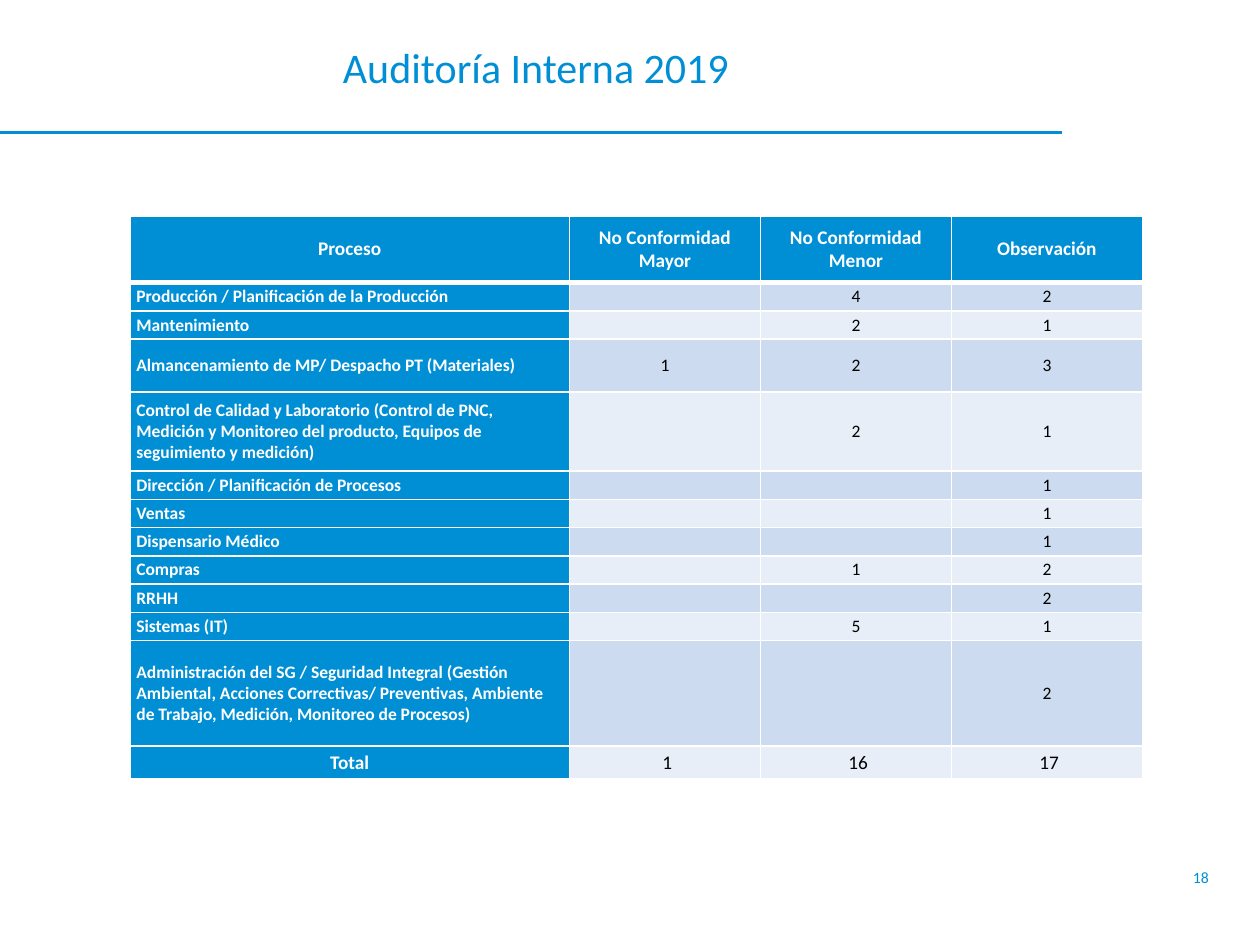
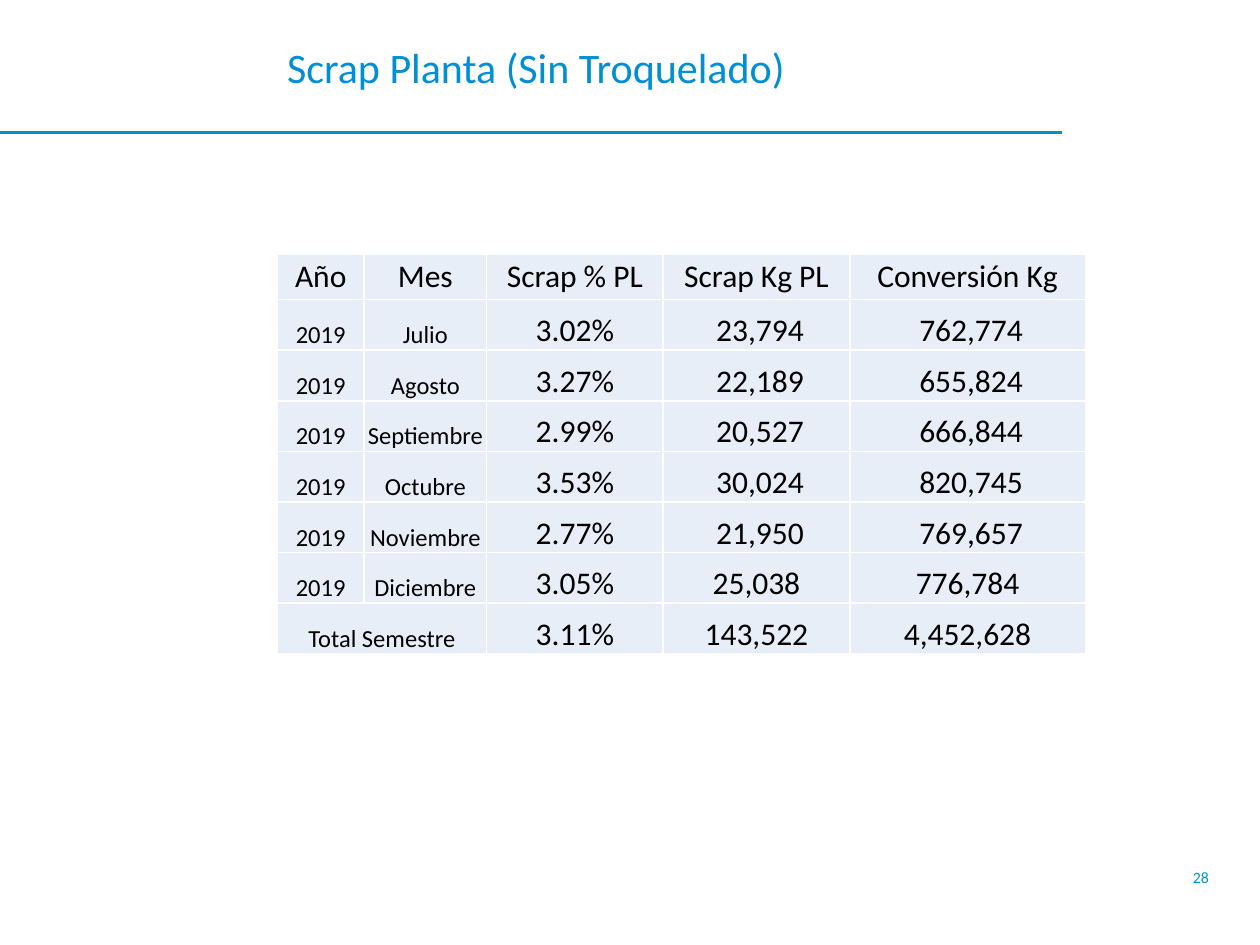
"""Build two report slides, each with a ruled title and a table."""
import lxml.etree
import pptx
import pptx.dml.color
import pptx.enum.shapes
import pptx.enum.text
import pptx.oxml.ns
import pptx.util

Cm, Pt = pptx.util.Cm, pptx.util.Pt
Align = pptx.enum.text.PP_ALIGN
Anchor = pptx.enum.text.MSO_ANCHOR
qn = pptx.oxml.ns.qn

BLUE, WHITE, BLACK = "008FD5", "FFFFFF", "000000"
DARK, PALE = "CCDBEF", "E7EEF7"

AUDIT = [
    ("Proceso", "No Conformidad Mayor", "No Conformidad Menor", "Observación"),
    ("Producción / Planificación de la Producción", "", "4", "2"),
    ("Mantenimiento", "", "2", "1"),
    ("Almancenamiento de MP/ Despacho PT (Materiales)", "1", "2", "3"),
    ("Control de Calidad y Laboratorio (Control de PNC, Medición y Monitoreo "
     "del producto, Equipos de seguimiento y medición)", "", "2", "1"),
    ("Dirección / Planificación de Procesos", "", "", "1"),
    ("Ventas", "", "", "1"),
    ("Dispensario Médico", "", "", "1"),
    ("Compras", "", "1", "2"),
    ("RRHH", "", "", "2"),
    ("Sistemas (IT)", "", "5", "1"),
    ("Administración del SG / Seguridad Integral (Gestión Ambiental, Acciones "
     "Correctivas/ Preventivas, Ambiente de Trabajo, Medición, Monitoreo de "
     "Procesos)", "", "", "2"),
    ("Total", " 1", " 16", " 17"),
]
SCRAP = [
    ("Año", "Mes", "Scrap % PL", "Scrap Kg PL", "Conversión Kg"),
    ("2019", "Julio", "3.02%", " 23,794", " 762,774"),
    ("2019", "Agosto", "3.27%", " 22,189", " 655,824"),
    ("2019", "Septiembre", "2.99%", " 20,527", " 666,844"),
    ("2019", "Octubre", "3.53%", " 30,024", " 820,745"),
    ("2019", "Noviembre", "2.77%", " 21,950", " 769,657"),
    ("2019", "Diciembre", "3.05%", "25,038", "776,784"),
    ("Total Semestre", "", "3.11%", " 143,522 ", "4,452,628"),
]


def paint(color, code):
    color.rgb = pptx.dml.color.RGBColor.from_string(code)


def write(frame, text, size=18, color=BLACK, bold=False, align=Align.CENTER, space=None):
    para = frame.paragraphs[0]
    para.alignment = align
    para.line_spacing = space
    if not text:
        end = lxml.etree.SubElement(para._p, qn("a:endParaRPr"))
        end.set("sz", str(size * 100))
        return
    run = para.add_run()
    run.text = text
    run.font.name = "Calibri"
    run.font.size = Pt(size)
    run.font.bold = bold
    paint(run.font.color, color)


def inset(item, left=0, top=0, right=0, bottom=0):
    item.margin_left, item.margin_top = Cm(left), Cm(top)
    item.margin_right, item.margin_bottom = Cm(right), Cm(bottom)


def edge(cell, **widths):
    props = cell._tc.get_or_add_tcPr()
    for side in "LRTB":
        line = lxml.etree.SubElement(props, qn("a:ln" + side), w=str(Pt(widths.get(side, 1))))
        fill = lxml.etree.SubElement(line, qn("a:solidFill"))
        lxml.etree.SubElement(fill, qn("a:srgbClr"), val=WHITE)


class Deck:
    def __init__(self):
        self.show = pptx.Presentation()
        self.show.slide_width, self.show.slide_height = Cm(25.4), Cm(19.05)
        self.slide = None

    def page(self, title, number):
        self.slide = self.show.slides.add_slide(self.show.slide_layouts[6])
        self.label(number, 24.05, 17.5, 1.12, 1, size=9, align=Align.LEFT)
        self.rule(0, 2.67, 21.41)
        frame = self.label(title, 0.53, 0, 20.8, 2.67, size=24, space=0.9)
        inset(frame, top=0.13, right=0.25)
        frame.vertical_anchor = Anchor.MIDDLE

    def label(self, text, left, top, width, height, **style):
        box = self.slide.shapes.add_textbox(Cm(left), Cm(top), Cm(width), Cm(height))
        frame = box.text_frame
        frame.word_wrap = True
        inset(frame)
        write(frame, text, color=BLUE, **style)
        return frame

    def rule(self, left, top, right):
        line = self.slide.shapes.add_connector(
            pptx.enum.shapes.MSO_CONNECTOR.STRAIGHT, Cm(left), Cm(top), Cm(right), Cm(top))
        line.line.width = Pt(1.5)
        paint(line.line.color, BLUE)
        lxml.etree.SubElement(line._element.spPr, qn("a:effectLst"))

    def grid(self, data, left, top, widths, heights, style):
        """Add a table; style(row, col) gives fill, anchor, side inset, edges and text format."""
        table = self.slide.shapes.add_table(
            len(data), len(widths), Cm(left), Cm(top), Cm(sum(widths)), Cm(sum(heights))).table
        table.horz_banding = False
        for col, width in zip(table.columns, widths):
            col.width = Cm(width)
        for row, height in zip(table.rows, heights):
            row.height = Cm(height)
        for r, texts in enumerate(data):
            for c, text in enumerate(texts):
                cell = table.cell(r, c)
                fill, anchor, side, edges, form = style(r, c)
                edge(cell, **edges)
                cell.fill.solid()
                paint(cell.fill.fore_color, fill)
                cell.vertical_anchor = anchor
                inset(cell, left=side, right=side)
                write(cell.text_frame, text, **form)
        return table


def audit(row, col):
    head, total = row == 0, row == len(AUDIT) - 1
    key = head or col == 0
    fill = BLUE if key else DARK if row % 2 else PALE
    edges = {"B": 3} if head else {"T": 3} if row == 1 else {}
    form = {
        "size": 11 if head or total else 10,
        "color": WHITE if key else BLACK,
        "bold": key,
        "align": Align.LEFT if col == 0 and not (head or total) else Align.CENTER,
    }
    return fill, Anchor.MIDDLE, 0.13, edges, form


def scrap(row, col):
    anchor = Anchor.BOTTOM if row else Anchor.MIDDLE
    return PALE, anchor, 0, {}, {"size": 14 if row and col < 2 else 18}


def main():
    deck = Deck()
    deck.page("Auditoría Interna 2019", "18")
    deck.grid(AUDIT, 2.62, 4.35, [8.86] + [3.85] * 3,
              [1.35, 0.57, 0.57, 1.06, 1.6] + [0.57] * 6 + [2.13, 0.66], audit)
    deck.page("Scrap Planta (Sin Troquelado)", "28")
    table = deck.grid(SCRAP, 5.59, 5.13, [1.75, 2.47, 3.56, 3.76, 4.75],
                      [0.91] + [1.02] * 7, scrap)
    table.cell(7, 0).merge(table.cell(7, 1))
    deck.show.save("out.pptx")


if __name__ == "__main__":
    main()
